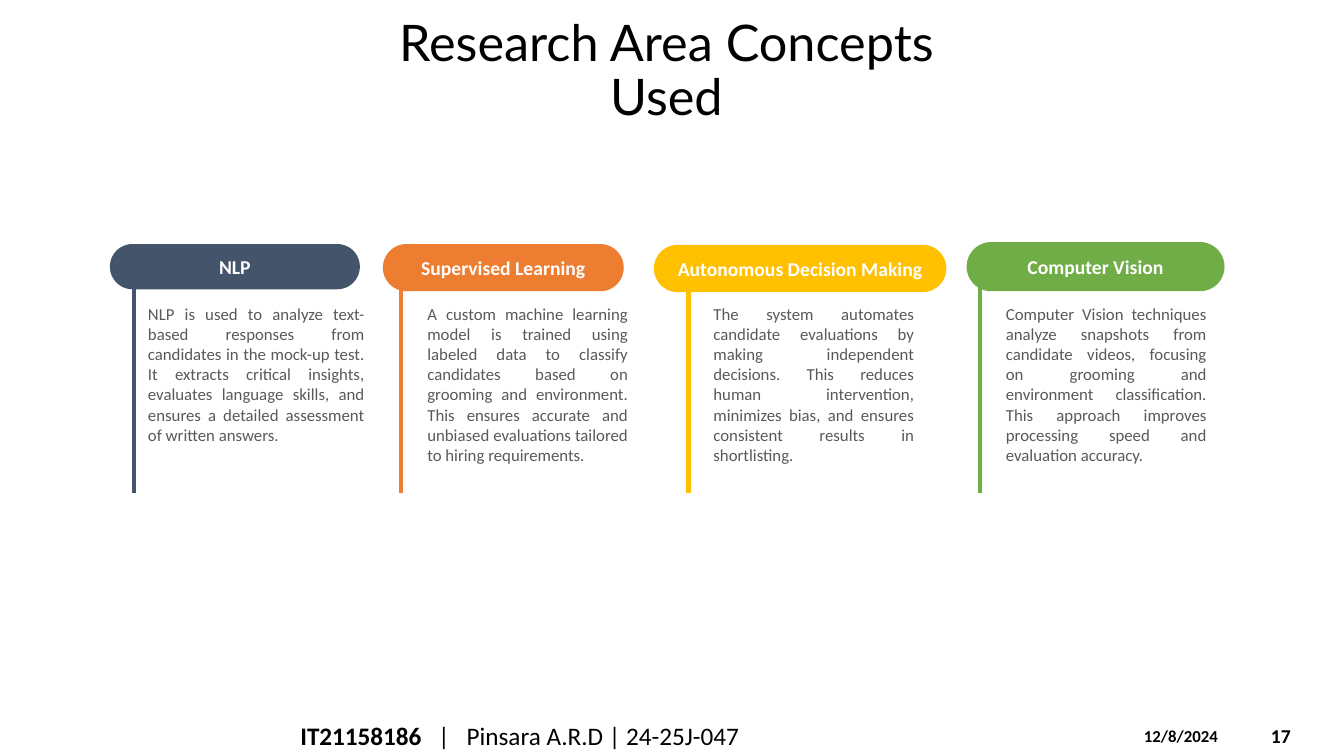
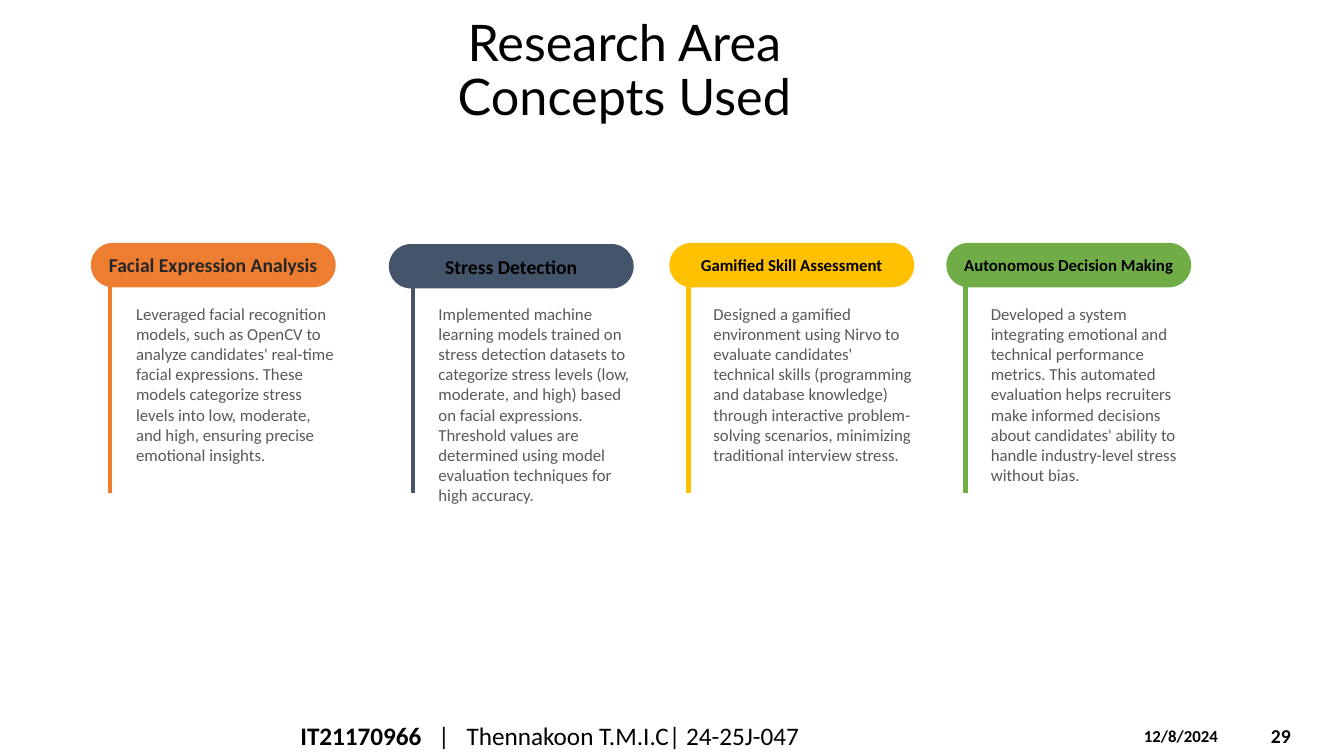
from pptx import Presentation
from pptx.util import Cm, Pt
from pptx.dml.color import RGBColor
from pptx.enum.shapes import MSO_SHAPE, MSO_CONNECTOR
from pptx.enum.text import PP_ALIGN, MSO_ANCHOR, MSO_AUTO_SIZE
from pptx.oxml.ns import qn
from lxml import etree

ROUND = MSO_SHAPE.ROUNDED_RECTANGLE
LINE = MSO_CONNECTOR.STRAIGHT
LEFT, MID, JUST = PP_ALIGN.LEFT, PP_ALIGN.CENTER, PP_ALIGN.JUSTIFY
TOP, CORE = MSO_ANCHOR.TOP, MSO_ANCHOR.MIDDLE
FIXED = MSO_AUTO_SIZE.NONE

NAVY, ORANGE, GOLD, GREEN = "44546A", "ED7D31", "FFC000", "70AD47"
BLACK, WHITE, DARK, GREY = "000000", "FFFFFF", "262626", "595959"

TITLE = {"name": "Lato", "size": Pt(36), "bold": False}
HEAD = {"name": "Calibri", "size": Pt(14), "bold": True}
SMALL = {**HEAD, "size": Pt(12)}
BODY = {**SMALL, "bold": False}
FOOT = {**HEAD, "size": Pt(18)}
PLAIN = {**FOOT, "bold": False}

HEADING = "Research Area Concepts Used"
DATE = "12/8/2024"
STEM = (6.7, 12.42)
TEXT_TOP, TEXT_H = 7.52, 5.3
TABS = (3.47, 4.19)

SLIDES = [
    {
        "title": (8.97, 15.65),
        "id": "IT21158186", "name": "Pinsara A.R.D | 24-25J-047", "page": "17",
        "align": JUST,
        "cards": [
            {"head": "NLP", "fill": NAVY, "ink": WHITE, "font": HEAD,
             "pill": (2.77, 6.15, 6.3, 1.14), "stem": 3.38, "text": (3.73, 5.46),
             "body": "NLP is used to analyze text-based responses from candidates in the "
                     "mock-up test. It extracts critical insights, evaluates language "
                     "skills, and ensures a detailed assessment of written answers."},
            {"head": "Supervised Learning", "fill": ORANGE, "ink": WHITE, "font": HEAD,
             "pill": (9.65, 6.15, 6.07, 1.19), "stem": 10.11, "text": (10.77, 5.06),
             "body": "A custom machine learning model is trained using labeled data to "
                     "classify candidates based on grooming and environment. This ensures "
                     "accurate and unbiased evaluations tailored to hiring requirements."},
            {"head": "Autonomous Decision Making", "fill": GOLD, "ink": WHITE, "font": HEAD,
             "pill": (16.48, 6.17, 7.37, 1.19), "stem": 17.35, "text": (17.98, 5.06),
             "body": "The system automates candidate evaluations by making independent "
                     "decisions. This reduces human intervention, minimizes bias, and "
                     "ensures consistent results in shortlisting."},
            {"head": "Computer Vision", "fill": GREEN, "ink": WHITE, "font": HEAD,
             "pill": (24.36, 6.1, 6.5, 1.24), "stem": 24.69, "text": (25.35, 5.06),
             "body": "Computer Vision techniques analyze snapshots from candidate videos, "
                     "focusing on grooming and environment classification. This approach "
                     "improves processing speed and evaluation accuracy."},
        ],
    },
    {
        "title": (9.32, 12.83),
        "id": "IT21170966", "name": "Thennakoon T.M.I.C| 24-25J-047", "page": "29",
        "align": LEFT,
        "cards": [
            {"head": "Facial Expression Analysis", "fill": ORANGE, "ink": DARK, "font": HEAD,
             "pill": (2.29, 6.12, 6.17, 1.12), "stem": 2.77, "text": (3.43, 5.06),
             "body": "Leveraged facial recognition models, such as OpenCV to analyze "
                     "candidates' real-time facial expressions. These models categorize "
                     "stress levels into low, moderate, and high, ensuring precise "
                     "emotional insights."},
            {"head": "Stress Detection", "fill": NAVY, "ink": BLACK, "font": HEAD,
             "pill": (9.8, 6.15, 6.17, 1.12), "stem": 10.41, "text": (11.05, 5.06),
             "body": "Implemented machine learning models trained on stress detection "
                     "datasets to categorize stress levels (low, moderate, and high) based "
                     "on facial expressions. Threshold values are determined using model "
                     "evaluation techniques for high accuracy."},
            {"head": "Gamified Skill Assessment", "fill": GOLD, "ink": BLACK, "font": SMALL,
             "pill": (16.87, 6.12, 6.17, 1.12), "stem": 17.35, "text": (17.98, 5.06),
             "body": "Designed a gamified environment using Nirvo to evaluate candidates' "
                     "technical skills (programming and database knowledge) through "
                     "interactive problem-solving scenarios, minimizing traditional "
                     "interview stress."},
            {"head": "Autonomous Decision Making", "fill": GREEN, "ink": BLACK, "font": SMALL,
             "pill": (23.85, 6.12, 6.17, 1.12), "stem": 24.33, "text": (24.97, 5.06),
             "body": "Developed a system integrating emotional and technical performance "
                     "metrics. This automated evaluation helps recruiters make informed "
                     "decisions about candidates' ability to handle industry-level stress "
                     "without bias."},
        ],
    },
]


def color(code):
    return RGBColor.from_string(code)


def apply(obj, style):
    for key, val in style.items():
        setattr(obj, key, val)


def write(shape, runs, ink, align=LEFT, anchor=CORE, side=0.25, tabs=()):
    frame = shape.text_frame
    apply(frame, {"word_wrap": True, "auto_size": FIXED, "vertical_anchor": anchor,
                  "margin_left": Cm(side), "margin_right": Cm(side),
                  "margin_top": Cm(0.13), "margin_bottom": Cm(0.13)})
    para = frame.paragraphs[0]
    para.alignment = align
    if tabs:
        stops = etree.SubElement(para._p.get_or_add_pPr(), qn("a:tabLst"))
        for pos in tabs:
            etree.SubElement(stops, qn("a:tab"), pos=str(Cm(pos)), algn="l")
    for text, style in runs:
        run = para.add_run()
        run.text = text
        apply(run.font, style)
        run.font.color.rgb = color(ink)
    return para


def label(shapes, box, runs, ink=BLACK, **opts):
    write(shapes.add_textbox(*map(Cm, box)), runs, ink, **opts)


def add_card(slide, card, align):
    parts = slide.shapes.add_group_shape().shapes
    stem = parts.add_connector(LINE, Cm(card["stem"]), Cm(STEM[0]),
                               Cm(card["stem"]), Cm(STEM[1]))
    stem.line.color.rgb = color(card["fill"])
    stem.line.width = Pt(3)
    etree.SubElement(stem._element.spPr, qn("a:effectLst"))

    pill = parts.add_shape(ROUND, *map(Cm, card["pill"]))
    pill.adjustments[0] = 0.5
    pill.shadow.inherit = False
    pill.fill.solid()
    pill.fill.fore_color.rgb = color(card["fill"])
    pill.line.fill.background()
    write(pill, [(card["head"], card["font"])], card["ink"], align=MID, side=0)

    left, width = card["text"]
    label(parts, (left, TEXT_TOP, width, TEXT_H), [(card["body"], BODY)], GREY,
          align=align, anchor=TOP, side=0)


def add_slide(deck, data):
    slide = deck.slides.add_slide(deck.slide_layouts[5])
    title = slide.shapes.title
    left, width = data["title"]
    apply(title, {"left": Cm(left), "top": Cm(0.62), "width": Cm(width), "height": Cm(2.4)})
    write(title, [(HEADING, TITLE)], BLACK, align=MID).line_spacing = 0.9
    for card in data["cards"]:
        add_card(slide, card, data["align"])
    label(slide.shapes, (7.32, 18.03, 18.92, 1.02),
          [(data["id"], FOOT), ("\t|\t" + data["name"], PLAIN)], tabs=TABS)
    label(slide.shapes, (28.58, 18.16, 2.97, 0.76), [(DATE, SMALL)], anchor=TOP)
    label(slide.shapes, (31.78, 18.03, 1.88, 1.02), [(data["page"], HEAD)])


def main():
    deck = Presentation()
    deck.slide_width, deck.slide_height = Cm(33.87), Cm(19.05)
    for data in SLIDES:
        add_slide(deck, data)
    deck.save("out.pptx")


if __name__ == "__main__":
    main()
